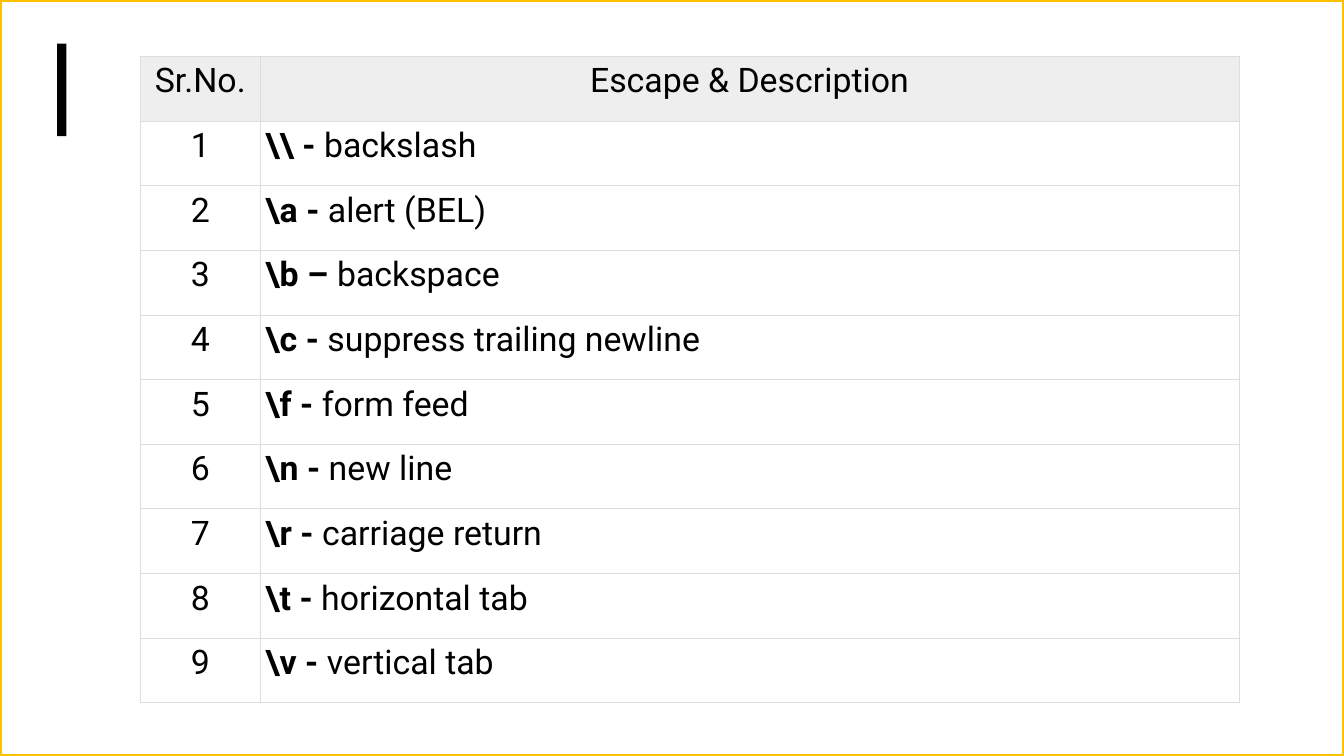
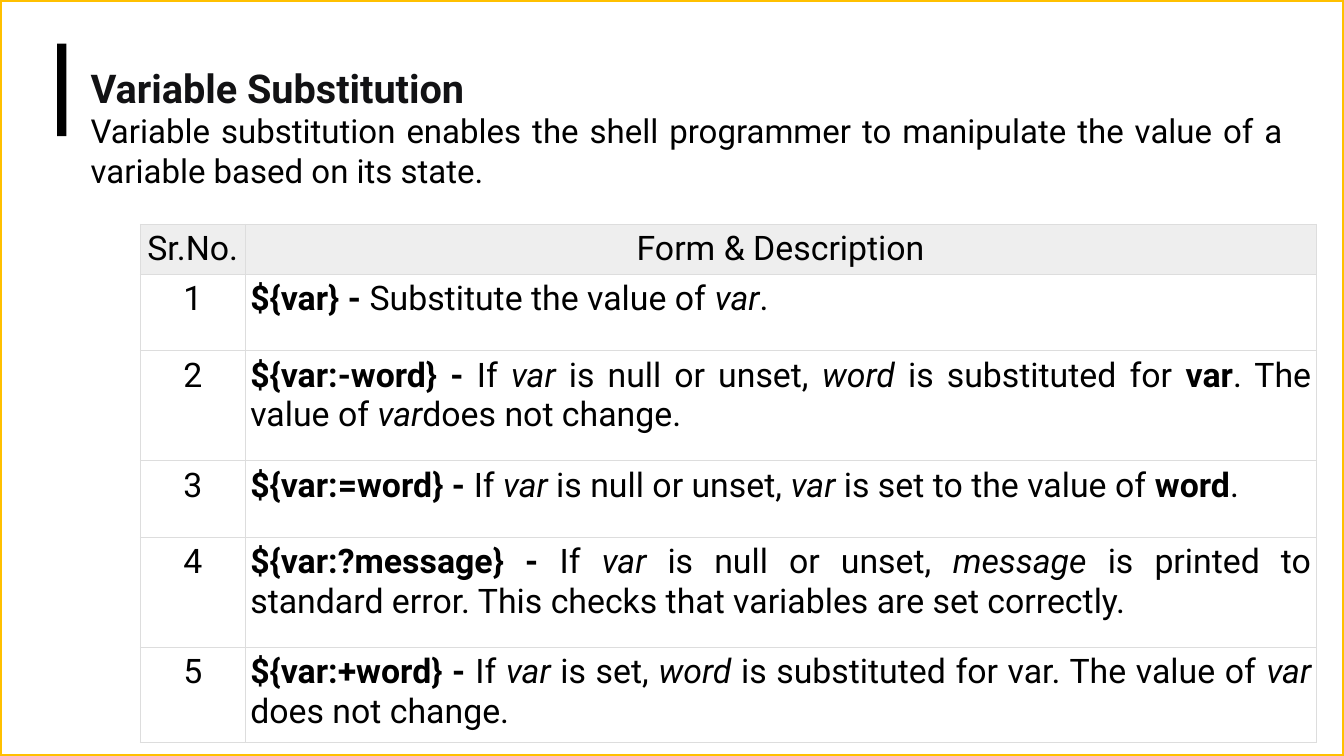
"""Two slides on shell escape sequences and variable substitution."""
from dataclasses import dataclass

from lxml import etree
from pptx import Presentation
from pptx.dml.color import RGBColor
from pptx.enum.shapes import MSO_SHAPE
from pptx.enum.text import MSO_ANCHOR, PP_ALIGN
from pptx.oxml.ns import qn
from pptx.util import Inches, Pt

RECTANGLE = MSO_SHAPE.RECTANGLE
TOP = MSO_ANCHOR.TOP
CENTER, JUSTIFY = PP_ALIGN.CENTER, PP_ALIGN.JUSTIFY
PLAIN, BOLD, ITALIC = "plain", "bold", "italic"


@dataclass(frozen=True)
class Theme:
    """Colours, font and sizes shared by the slides."""
    font: str = "Roboto"
    white: str = "FFFFFF"
    black: str = "000000"
    title: str = "121214"
    gold: str = "FFC000"
    header: str = "EEEEEE"
    border: str = "DDDDDD"
    title_size: float = 34
    body_size: float = 28.3
    table_size: float = 29
    border_width: float = 0.75
    frame_width: float = 3
    frame_alpha: int = 49


THEME = Theme()

ESCAPES = [
    [(r"\\ - ", BOLD), ("backslash", PLAIN)],
    [(r"\a - ", BOLD), ("alert (BEL)", PLAIN)],
    [(r"\b – ", BOLD), ("backspace", PLAIN)],
    [(r"\c - ", BOLD), ("suppress trailing newline", PLAIN)],
    [(r"\f - ", BOLD), ("form feed", PLAIN)],
    [(r"\n - ", BOLD), ("new line", PLAIN)],
    [(r"\r - ", BOLD), ("carriage return", PLAIN)],
    [(r"\t - ", BOLD), ("horizontal tab", PLAIN)],
    [(r"\v - ", BOLD), ("vertical tab", PLAIN)],
]

TITLE = "Variable Substitution"
INTRO = ("Variable substitution enables the shell programmer to manipulate "
         "the value of a variable based on its state.")
FORMS = [
    [("${var} - ", BOLD), ("Substitute the value of ", PLAIN), ("var", ITALIC), (".", PLAIN)],
    [("${var:-word} - ", BOLD), ("If ", PLAIN), ("var", ITALIC),
     (" is null or unset, ", PLAIN), ("word", ITALIC), (" is substituted for ", PLAIN),
     ("var", BOLD), (". The value of ", PLAIN), ("var", ITALIC), ("does not change.", PLAIN)],
    [("${var:=word} - ", BOLD), ("If ", PLAIN), ("var", ITALIC),
     (" is null or unset, ", PLAIN), ("var", ITALIC), (" is set to the value of ", PLAIN),
     ("word", BOLD), (".", PLAIN)],
    [("${var:?message} - ", BOLD), ("If ", PLAIN), ("var", ITALIC),
     (" is null or unset, ", PLAIN), ("message", ITALIC),
     (" is printed to standard error. This checks that variables are set correctly.", PLAIN)],
    [("${var:+word} - ", BOLD), ("If ", PLAIN), ("var", ITALIC), (" is set, ", PLAIN),
     ("word", ITALIC), (" is substituted for var. The value of ", PLAIN),
     ("var", ITALIC), (" does not change.", PLAIN)],
]

TABLE_LEFT = 1.67
CELL_INSET = 0.06
ESCAPE_HEIGHTS = [0.77] * (len(ESCAPES) + 1)
FORM_HEIGHTS = [0.5, 0.91, 1.31, 0.91, 1.31, 1.14]


def write_paragraph(text_frame, spans, size, color, align):
    """Fill the first paragraph of a text frame run by run."""
    para = text_frame.paragraphs[0]
    para.alignment = align
    for text, style in spans:
        span = para.add_run()
        span.text = text
        span.font.name = THEME.font
        span.font.size = Pt(size)
        span.font.color.rgb = RGBColor.from_string(color)
        span.font.bold = style == BOLD
        span.font.italic = style == ITALIC


def place_text(box, bounds, spans, size, color):
    """Place a text shape and write justified text from its top."""
    box.left, box.top, box.width, box.height = map(Inches, bounds)
    frame = box.text_frame
    frame.word_wrap = True
    frame.vertical_anchor = TOP
    frame.margin_left = 0
    frame.margin_top = frame.margin_right = frame.margin_bottom = Inches(0.04)
    write_paragraph(frame, spans, size, color, JUSTIFY)


def add_rectangle(page, bounds, color):
    """Add a flat rectangle without an outline."""
    shape = page.shapes.add_shape(RECTANGLE, *map(Inches, bounds))
    shape.shadow.inherit = False
    shape.fill.solid()
    shape.fill.fore_color.rgb = RGBColor.from_string(color)
    shape.line.fill.background()
    return shape


def decorate_master(deck, page):
    """Build the frame and the accent bar and move them to the master."""
    frame = add_rectangle(page, (0, 0, 16, 9), THEME.white)
    frame.line.color.rgb = RGBColor.from_string(THEME.gold)
    frame.line.width = Pt(THEME.frame_width)
    fill_color = frame.element.spPr.find(qn("a:solidFill")).find(qn("a:srgbClr"))
    etree.SubElement(fill_color, qn("a:alpha"), val=str(THEME.frame_alpha * 1000))
    bar = add_rectangle(page, (0.68, 0.52, 0.11, 1.1), THEME.black)
    for index, shape in enumerate((frame, bar)):
        shape.element.nvSpPr.cNvPr.set("id", str(20 + index))
        deck.slide_master.shapes.element.insert(2 + index, shape.element)


def add_borders(cell):
    """Draw the four thin sides of a cell."""
    properties = cell._tc.get_or_add_tcPr()
    for side in ("a:lnL", "a:lnR", "a:lnT", "a:lnB"):
        line = etree.SubElement(properties, qn(side), w=str(Pt(THEME.border_width)))
        fill = etree.SubElement(line, qn("a:solidFill"))
        etree.SubElement(fill, qn("a:srgbClr"), val=THEME.border)


def add_numbered_table(page, top, heading, entries, widths, heights):
    """Add a table with a header row and numbered entries."""
    rows = [([("Sr.No.", PLAIN)], [(heading, PLAIN)])]
    rows += [([(str(number), PLAIN)], entry) for number, entry in enumerate(entries, 1)]
    bounds = (TABLE_LEFT, top, sum(widths), sum(heights))
    table = page.shapes.add_table(len(rows), len(widths), *map(Inches, bounds)).table
    table.first_row = table.horz_banding = False
    for column, width in zip(table.columns, widths):
        column.width = Inches(width)
    for row_index, (row, height) in enumerate(zip(rows, heights)):
        table.rows[row_index].height = Inches(height)
        for column_index, spans in enumerate(row):
            cell = table.cell(row_index, column_index)
            cell.margin_left = cell.margin_right = Inches(CELL_INSET)
            cell.margin_top = cell.margin_bottom = Inches(CELL_INSET)
            add_borders(cell)
            if row_index == 0:
                cell.fill.solid()
                cell.fill.fore_color.rgb = RGBColor.from_string(THEME.header)
            else:
                cell.fill.background()
            align = JUSTIFY if row_index and column_index else CENTER
            write_paragraph(cell.text_frame, spans, THEME.table_size, THEME.black, align)


def main():
    """Build and save the deck."""
    deck = Presentation()
    deck.slide_width, deck.slide_height = Inches(16), Inches(9)
    title_only, blank = deck.slide_layouts[5], deck.slide_layouts[6]

    page = deck.slides.add_slide(blank)
    decorate_master(deck, page)
    add_numbered_table(page, 0.67, "Escape & Description", ESCAPES,
                       (1.43, 11.65), ESCAPE_HEIGHTS)

    page = deck.slides.add_slide(title_only)
    place_text(page.shapes.title, (1.08, 0.72, 14.25, 0.6), [(TITLE, BOLD)],
               THEME.title_size, THEME.title)
    add_numbered_table(page, 2.67, "Form & Description", FORMS,
                       (1.25, 12.75), FORM_HEIGHTS)
    intro = page.shapes.add_textbox(0, 0, 0, 0)
    place_text(intro, (1.08, 1.28, 14.25, 1), [(INTRO, PLAIN)],
               THEME.body_size, THEME.black)
    deck.save("out.pptx")


if __name__ == "__main__":
    main()
